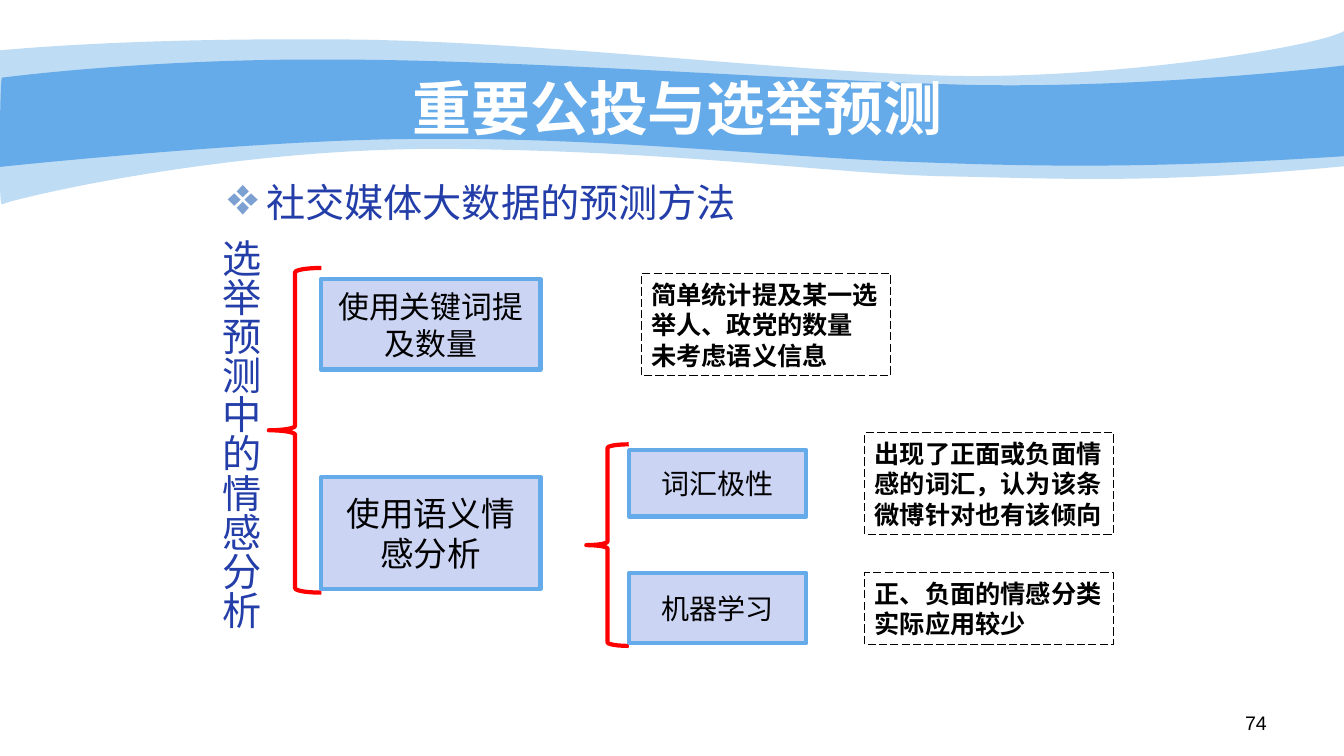
"""Build the slide on sentiment analysis for election prediction."""
import dataclasses
import typing

import lxml.etree
import pptx
import pptx.dml.color
import pptx.enum.dml
import pptx.enum.shapes
import pptx.enum.text
import pptx.oxml.ns
import pptx.util

Point = tuple[float, float]
Align = pptx.enum.text.PP_ALIGN
Anchor = pptx.enum.text.MSO_ANCHOR
Preset = pptx.enum.shapes.MSO_SHAPE

COLS, ROWS = 32, 18
WIDTH, HEIGHT = pptx.util.Inches(13.33), pptx.util.Inches(7.5)


@dataclasses.dataclass(frozen=True)
class Theme:
    wave: str = "65AAE9"
    box: str = "CCD4F4"
    brace: str = "FF0000"
    heading: str = "233DA9"
    bullet: str = "7DA0D3"
    text: str = "000000"
    title: str = "FFFFFF"
    serif: str = "Times New Roman"
    sans: str = "Arial"
    cjk: str = "Noto Sans CJK SC"
    title_size: int = 42
    heading_size: int = 28
    note_size: int = 18
    page_size: int = 14
    bullet_percent: int = 135
    thick: float = 3
    thin: float = 0.75
    leading: float = 1.21


T = Theme()


@dataclasses.dataclass(frozen=True)
class Area:
    col: float
    row: float
    cols: float
    rows: float

    def emu(self) -> tuple[int, int, int, int]:
        return x(self.col), y(self.row), x(self.cols), y(self.rows)


@dataclasses.dataclass(frozen=True)
class Box:
    area: Area
    text: str
    size: int


@dataclasses.dataclass(frozen=True)
class Note:
    area: Area
    text: str
    font: str


@dataclasses.dataclass(frozen=True)
class Wave:
    start: Point
    segments: tuple[tuple[Point, ...], ...]
    opacity: int


WAVES = (
    Wave((0, 1.2), (
        ((0.77, 1.13), (3.43, 0.91), (7.9, 0.94)),
        ((12.34, 0.94), (18.41, 1.68), (22.37, 1.8)),
        ((26.3, 1.92), (31.34, 1.13), (32, 0.74)),
        ((32, 3.96),),
        ((27.46, 4.39), (25.2, 4.25), (22.54, 4.2)),
        ((19.9, 4.15), (16.49, 3.62), (10.99, 3.55)),
        ((5.5, 3.46), (0.12, 4.78), (0.05, 4.87)),
        ((-0.05, 4.99), (0, 1.8), (0, 1.2))), 41),
    Wave((0.05, 1.85), (
        ((0.07, 1.85), (3.5, 1.39), (7.94, 1.42)),
        ((12.36, 1.42), (19.06, 1.92), (22.99, 2.02)),
        ((26.93, 2.11), (31.22, 1.66), (32, 1.56)),
        ((32, 3.72),),
        ((27.29, 4.03), (24.5, 3.96), (21.82, 3.86)),
        ((19.18, 3.79), (14.3, 3.26), (10.15, 3.31)),
        ((6.5, 3.29), (-0.07, 3.98), (-0.05, 3.98)),
        ((0, 3.98), (0, 1.85), (0.05, 1.85))), 100),
)
BRACES = (Area(6.4, 6.38, 1.25, 7.73), Area(13.96, 10.58, 1.01, 4.8))
BOXES = (
    Box(Area(7.64, 6.65, 5.23, 2.15), "使用关键词提及数量", 22),
    Box(Area(7.64, 11.36, 5.23, 2.66), "使用语义情感分析", 24),
    Box(Area(14.98, 10.72, 4.22, 1.58), "词汇极性", 20),
    Box(Area(14.98, 13.65, 4.22, 1.66), "机器学习", 20),
)
NOTES = (
    Note(Area(15.27, 6.52, 5.93, 2.42),
         "简单统计提及某一选举人、政党的数量\n未考虑语义信息", T.cjk),
    Note(Area(20.59, 10.3, 5.93, 2.42),
         "出现了正面或负面情感的词汇，认为该条微博针对也有该倾向", T.sans),
    Note(Area(20.59, 13.64, 5.93, 1.7),
         "正、负面的情感分类\n实际应用较少", T.sans),
)


def x(cols: float) -> int:
    return round(WIDTH * cols / COLS)


def y(rows: float) -> int:
    return round(HEIGHT * rows / ROWS)


def rgb(color: str) -> pptx.dml.color.RGBColor:
    return pptx.dml.color.RGBColor.from_string(color)


def add_xml(parent: typing.Any, tag: str, **attrs: str) -> typing.Any:
    return lxml.etree.SubElement(parent, pptx.oxml.ns.qn(tag), attrs)


def put_text(sp: typing.Any, text: str, *, size: int, font: str = T.cjk,
             color: str = T.text, bold: bool = False, align: Align = Align.LEFT,
             anchor: Anchor = Anchor.TOP, wrap: bool = True,
             bullet: str = "", vertical: bool = False) -> None:
    tf = sp.text_frame
    tf.word_wrap, tf.vertical_anchor = wrap, anchor
    if vertical:
        tf._txBody.bodyPr.set("vert", "eaVert")
    for i, line in enumerate(text.split("\n")):
        p = tf.add_paragraph() if i else tf.paragraphs[0]
        if bullet:
            pPr = p._p.get_or_add_pPr()
            indent = pptx.util.Inches(0.38)
            pPr.set("marL", str(indent))
            pPr.set("indent", str(-indent))
            add_xml(add_xml(pPr, "a:buClr"), "a:srgbClr", val=T.bullet)
            add_xml(pPr, "a:buSzPct", val=str(T.bullet_percent * 1000))
            add_xml(pPr, "a:buChar", char=bullet)
        p.alignment = align
        p.line_spacing = pptx.util.Pt(round(size * T.leading, 1))
        r = p.add_run()
        r.text = line
        r.font.size, r.font.bold, r.font.name = pptx.util.Pt(size), bold, font
        r.font.color.rgb = rgb(color)
        add_xml(r._r.get_or_add_rPr(), "a:ea", typeface=T.cjk)


def add_label(s: typing.Any, area: Area, text: str, **fmt: typing.Any) -> None:
    put_text(s.shapes.add_textbox(*area.emu()), text, **fmt)


def add_preset(s: typing.Any, preset: Preset, area: Area, line: str,
               width: float, fill: str = "") -> typing.Any:
    sp = s.shapes.add_shape(preset, *area.emu())
    sp.shadow.inherit = False
    sp.line.color.rgb, sp.line.width = rgb(line), pptx.util.Pt(width)
    if fill:
        sp.fill.solid()
        sp.fill.fore_color.rgb = rgb(fill)
    else:
        sp.fill.background()
    return sp


def add_wave(s: typing.Any, wave: Wave) -> None:
    fb = s.shapes.build_freeform(x(wave.start[0]), y(wave.start[1]))
    fb.add_line_segments([(x(c), y(r)) for seg in wave.segments for c, r in seg], close=True)
    sp = fb.convert_to_shape()
    spPr = sp._element.spPr
    lines = iter(spPr.findall(".//" + pptx.oxml.ns.qn("a:lnTo")))
    for seg in wave.segments:
        first = next(lines)
        if len(seg) == 3:
            curve = lxml.etree.Element(pptx.oxml.ns.qn("a:cubicBezTo"))
            first.addprevious(curve)
            for ln in (first, next(lines), next(lines)):
                curve.append(ln[0])
                ln.getparent().remove(ln)
    sp.shadow.inherit = False
    sp.line.fill.background()
    sp.fill.solid()
    sp.fill.fore_color.rgb = rgb(T.wave)
    if wave.opacity < 100:
        clr = spPr.find(".//" + pptx.oxml.ns.qn("a:srgbClr"))
        add_xml(clr, "a:alpha", val=str(wave.opacity * 1000))


def main() -> None:
    prs = pptx.Presentation()
    prs.slide_width, prs.slide_height = WIDTH, HEIGHT
    s = prs.slides.add_slide(prs.slide_layouts[6])
    for wave in WAVES:
        add_wave(s, wave)
    add_label(s, Area(3.19, 1.8, 25.87, 1.49), "重要公投与选举预测", size=T.title_size,
              font=T.serif, color=T.title, bold=True, align=Align.CENTER, anchor=Anchor.MIDDLE)
    add_label(s, Area(5.19, 4.12, 16, 1.46), "社交媒体大数据的预测方法", size=T.heading_size,
              font=T.serif, color=T.heading, bullet="❖")
    add_label(s, Area(22.94, 16.8, 7.46, 0.84), "74", size=T.page_size, font=T.sans,
              align=Align.RIGHT)
    for area in BRACES:
        add_preset(s, Preset.LEFT_BRACE, area, T.brace, T.thick)
    for box in BOXES:
        sp = add_preset(s, Preset.RECTANGLE, box.area, T.wave, T.thick, T.box)
        put_text(sp, box.text, size=box.size, align=Align.CENTER, anchor=Anchor.MIDDLE)
    for note in NOTES:
        sp = add_preset(s, Preset.RECTANGLE, note.area, T.text, T.thin)
        sp.line.dash_style = pptx.enum.dml.MSO_LINE.LONG_DASH
        put_text(sp, note.text, size=T.note_size, font=note.font, bold=True)
    add_label(s, Area(4.8, 5.45, 1.61, 9.58), "选举预测中的情感分析", size=T.heading_size,
              font=T.serif, color=T.heading, align=Align.CENTER, wrap=False, vertical=True)
    prs.save("out.pptx")


if __name__ == "__main__":
    main()
